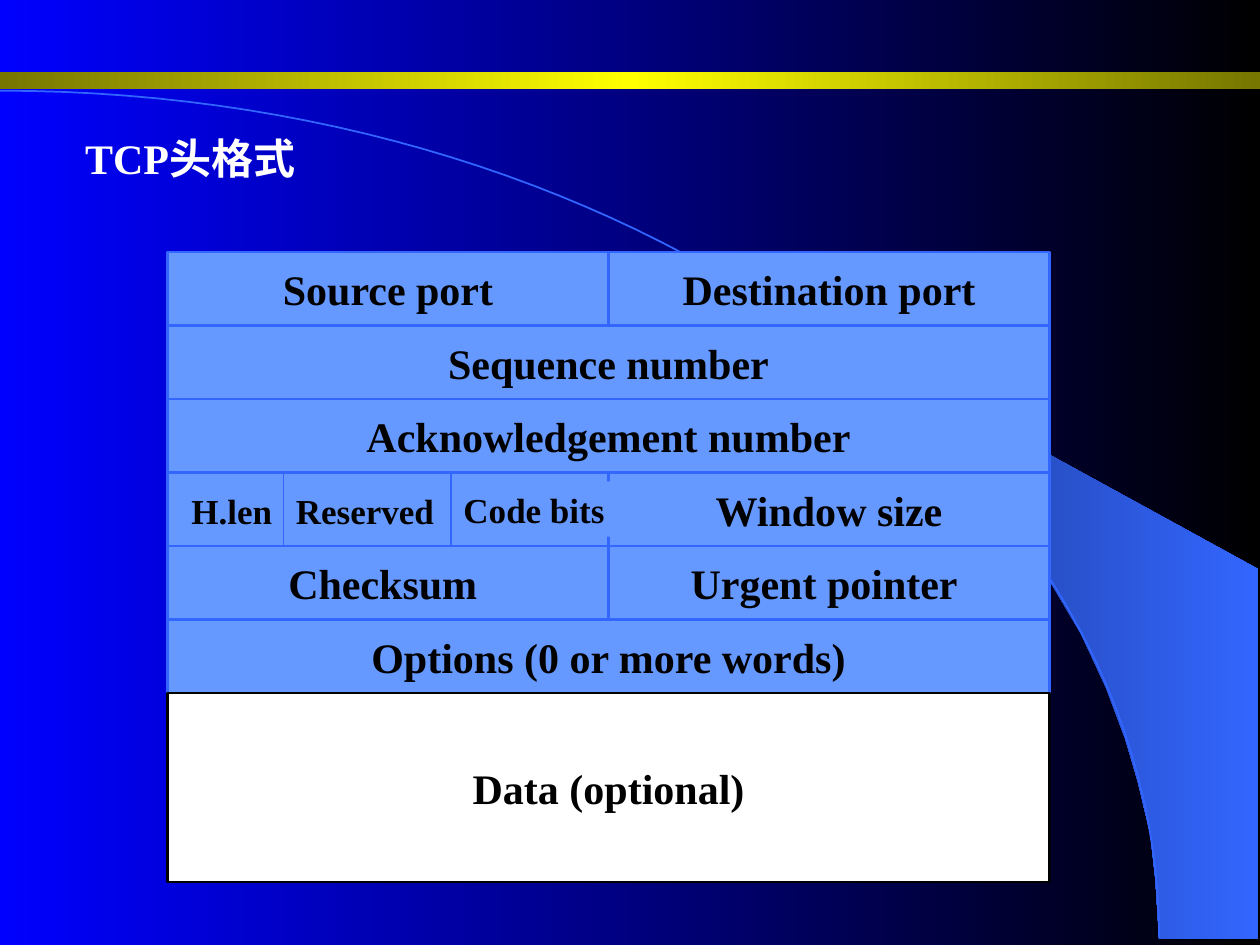
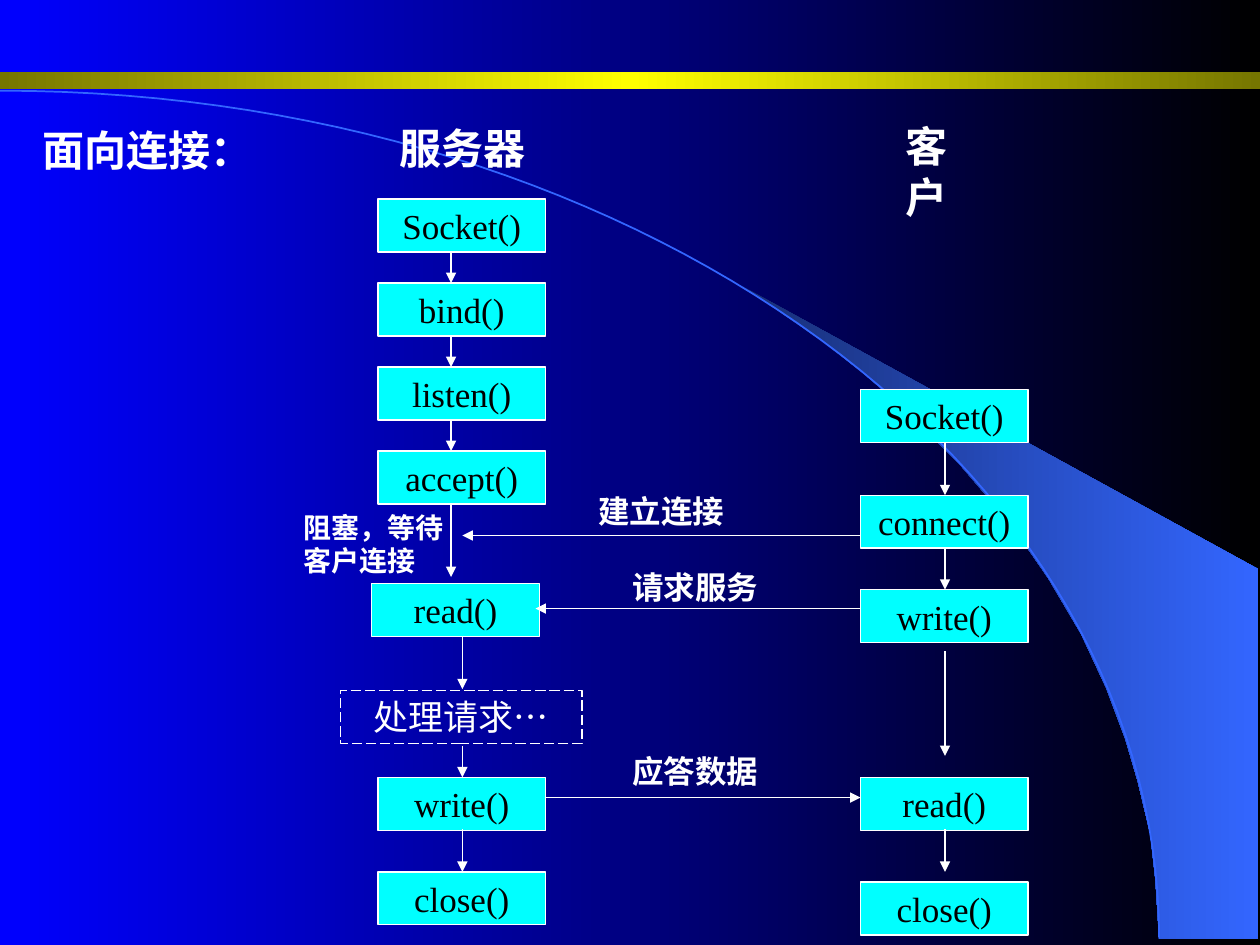
import copy
import dataclasses

import lxml.etree
import pptx
import pptx.dml.color
import pptx.enum.dml
import pptx.enum.shapes
import pptx.enum.text
import pptx.oxml.ns
import pptx.util

Inches = pptx.util.Inches
RECTANGLE = pptx.enum.shapes.MSO_SHAPE.RECTANGLE
CENTER = pptx.enum.text.PP_ALIGN.CENTER


@dataclasses.dataclass(frozen=True)
class Theme:
    font: str = "Times New Roman"
    background: tuple = ("0000FF", "000000")
    band: tuple = ("767600", "FFFF00", "767600")
    ribbon: tuple = ("182F76", "3366FF")
    edge: str = "3366FF"
    field: str = "6699FF"
    step: str = "00FFFF"
    white: str = "FFFFFF"
    black: str = "000000"
    heading_size: int = 24
    body_size: int = 20
    label_size: int = 18
    note_size: int = 16
    thin: float = 0.75
    arc: float = 1
    thick: float = 1.5


@dataclasses.dataclass(frozen=True)
class Box:
    left: float
    top: float
    width: float
    height: float

    def inside(self, left, top, width, height):
        return Box(self.left + left, self.top + top, width, height)

    def lengths(self):
        return [Inches(value) for value in dataclasses.astuple(self)]


THEME = Theme()
SLIDE = Box(0, 0, 10, 7.5)
RIBBON = [
    (9.2, 7.45), (9.99, 7.45), (9.99, 4.52), (5.89, 2.27), (6.24, 2.51), (6.53, 2.71),
    (6.85, 2.96), (7.16, 3.23), (7.62, 3.69), (8.03, 4.17), (8.32, 4.59), (8.58, 5.03),
    (8.78, 5.46), (8.93, 5.86), (9.03, 6.2), (9.13, 6.62), (9.17, 6.98),
]
ARC_CONTROLS = [(0, 0.72), (5.08, 0.72), (9.2, 3.73), (9.2, 7.45)]


def rgb(color):
    return pptx.dml.color.RGBColor.from_string(color)


def set_gradient(fill, colors):
    fill.gradient()
    fill.gradient_angle = 0
    stops = fill.gradient_stops
    if len(colors) == 3:
        last = stops[1]._gs
        last.addprevious(copy.deepcopy(last))
        stops = fill.gradient_stops
    for index, (stop, color) in enumerate(zip(stops, colors)):
        stop.position = index / (len(colors) - 1)
        stop.color.rgb = rgb(color)


def set_line(line, color, width):
    line.color.rgb = rgb(color)
    line.width = pptx.util.Pt(width)


def write_text(shape, text, size, color, bold, align=None):
    frame = shape.text_frame
    frame.text = text
    frame.word_wrap = False
    for paragraph in frame.paragraphs:
        paragraph.alignment = align
        font = paragraph.font
        font.name = THEME.font
        font.size = pptx.util.Pt(size)
        font.bold = bold
        font.color.rgb = rgb(color)


def add_label(slide, box, text, size):
    shape = slide.shapes.add_textbox(*box.lengths())
    write_text(shape, text, size, THEME.white, True)
    shape.text_frame.auto_size = pptx.enum.text.MSO_AUTO_SIZE.SHAPE_TO_FIT_TEXT


def add_rectangle(slide, box, fill=None, line=None, width=THEME.thin):
    shape = slide.shapes.add_shape(RECTANGLE, *box.lengths())
    shape.shadow.inherit = False
    if fill:
        shape.fill.solid()
        shape.fill.fore_color.rgb = rgb(fill)
    else:
        shape.fill.background()
    if line:
        set_line(shape.line, line, width)
    else:
        shape.line.fill.background()
    return shape


def add_line(slide, start, end, color, arrow=False):
    connector = slide.shapes.add_connector(
        pptx.enum.shapes.MSO_CONNECTOR.STRAIGHT,
        *[Inches(value) for value in (*start, *end)],
    )
    set_line(connector.line, color, THEME.thin)
    properties = connector.element.spPr
    qualified = pptx.oxml.ns.qn
    if arrow:
        outline = properties.find(qualified("a:ln"))
        lxml.etree.SubElement(outline, qualified("a:tailEnd"), type="triangle")
    lxml.etree.SubElement(properties, qualified("a:effectLst"))


def add_outline(slide, box, points, close):
    corners = [(Inches(box.left + x), Inches(box.top + y)) for x, y in points]
    builder = slide.shapes.build_freeform(*corners[0])
    builder.add_line_segments(corners[1:], close=close)
    shape = builder.convert_to_shape()
    shape.shadow.inherit = False
    return shape


def curve_points(controls, segments=60):
    for index in range(segments + 1):
        t = index / segments
        weights = ((1 - t) ** 3, 3 * t * (1 - t) ** 2, 3 * t * t * (1 - t), t ** 3)
        yield tuple(
            sum(weight * point[axis] for weight, point in zip(weights, controls))
            for axis in (0, 1)
        )


def add_backdrop(slide, box):
    set_gradient(slide.background.fill, THEME.background)
    ribbon = add_outline(slide, box, RIBBON, True)
    set_gradient(ribbon.fill, THEME.ribbon)
    ribbon.line.fill.background()
    arc = add_outline(slide, box, list(curve_points(ARC_CONTROLS)), False)
    arc.fill.background()
    set_line(arc.line, THEME.edge, THEME.arc)
    band = add_rectangle(slide, box.inside(0, 0.57, box.width, 0.14))
    set_gradient(band.fill, THEME.band)


def add_header_format(slide, box):
    rows = [
        ["Source port", "Destination port"],
        ["Sequence number"],
        ["Acknowledgement number"],
        ["", "Window size"],
        ["Checksum ", "Urgent pointer "],
        ["Options (0 or more words)"],
    ]
    row_height = 3.5 / len(rows)
    for row, names in enumerate(rows):
        width = box.width / len(names)
        for column, name in enumerate(names):
            cell = box.inside(column * width, row * row_height, width, row_height)
            shape = add_rectangle(slide, cell, THEME.field, THEME.edge, THEME.thick)
            if name:
                write_text(shape, name, THEME.heading_size, THEME.black, True, CENTER)
    data = add_rectangle(
        slide, box.inside(0, 3.5, box.width, box.height - 3.5),
        THEME.white, THEME.black, THEME.thick,
    )
    write_text(data, "Data (optional)", THEME.heading_size, THEME.black, True, CENTER)

    flags_top = 3 * row_height
    flags = [("H.len", 0.09, 0.08, 0.92), ("Reserved", 0.92, 0.08, 1.33),
             ("Code bits", 2.25, 0.07, 1.33)]
    for name, left, offset, width in flags:
        flag = box.inside(left, flags_top + offset, width, 0.44)
        shape = add_rectangle(slide, flag, THEME.field)
        write_text(shape, name, THEME.body_size, THEME.black, True,
                   pptx.enum.text.PP_ALIGN.LEFT)
    for name, left, offset, width in flags[1:]:
        x, y = box.left + left, box.top + flags_top
        add_line(slide, (x, y), (x, y + row_height), THEME.edge)


def add_call_column(slide, box, calls, arrows):
    for name, left, top in calls:
        shape = add_rectangle(
            slide, box.inside(left, top, box.width, 0.42), THEME.step, THEME.white
        )
        write_text(shape, name, THEME.body_size, THEME.black, False, CENTER)
    for x, start, end in arrows:
        add_line(slide, (box.left + x, box.top + start), (box.left + x, box.top + end),
                 THEME.white, True)


def add_server(slide, box):
    pitch = 2 / 3
    opening = ["Socket()", "bind()", "listen()", "accept()"]
    calls = [(name, 0, index * pitch) for index, name in enumerate(opening)]
    calls += [("read()", -0.05, 3.05), ("write()", 0, 4.59), ("close()", 0, 5.34)]
    arrows = [(0.58, index * pitch + 0.42, (index + 1) * pitch) for index in range(3)]
    arrows += [(0.58, 2.42, 3), (0.67, 3.47, 3.89), (0.67, 4.34, 4.59), (0.67, 5, 5.34)]
    add_call_column(slide, box, calls, arrows)
    work = add_rectangle(slide, box.inside(-0.3, 3.9, 1.92, 0.42), line=THEME.white)
    work.line.dash_style = pptx.enum.dml.MSO_LINE.LONG_DASH
    write_text(work, "处理请求…", THEME.body_size, THEME.white, False, CENTER)
    add_label(slide, box.inside(-0.69, 2.42, 1.31, 0.64), "阻塞，等待\n客户连接",
              THEME.note_size)


def add_client(slide, box):
    calls = [("Socket()", 0, 0), ("connect()", 0, 0.84), ("write()", 0, 1.59),
             ("read()", 0, 3.08), ("close()", 0, 3.91)]
    spans = [(0.42, 0.84), (1.25, 1.59), (2.08, 2.91), (3.49, 3.83)]
    add_call_column(slide, box, calls, [(0.67, *span) for span in spans])


def add_messages(slide, box):
    messages = [
        ("建立连接", 0.98, 0, 3.16, 0, 0.39),
        ("请求服务", 1.25, 0.6, 3.16, 0.58, 0.97),
        ("应答数据", 1.25, 2.06, 0.66, 3.16, 2.47),
    ]
    for text, left, top, start, end, y in messages:
        add_line(slide, (box.left + start, box.top + y), (box.left + end, box.top + y),
                 THEME.white, True)
        add_label(slide, box.inside(left, top, 1.2, 0.4), text, THEME.label_size)


def build_header_slide(slide, box):
    add_backdrop(slide, box)
    add_label(slide, box.inside(0.5, 1, 2.42, 0.5), " TCP头格式", THEME.heading_size)
    add_header_format(slide, box.inside(1.33, 2, 7, 5))


def build_connection_slide(slide, box):
    add_backdrop(slide, box)
    headings = [("面向连接：", 0.24, 0.94, 1.86), ("服务器", 3.07, 0.92, 1.2),
                ("客户", 7.09, 0.91, 0.86)]
    for text, left, top, width in headings:
        add_label(slide, box.inside(left, top, width, 0.5), text, THEME.heading_size)
    add_server(slide, box.inside(3, 1.58, 1.33, 5.76))
    add_client(slide, box.inside(6.83, 3.09, 1.33, 4.33))
    add_messages(slide, box.inside(3.67, 3.86, 3.16, 2.47))


def main():
    presentation = pptx.Presentation()
    presentation.slide_width = Inches(SLIDE.width)
    presentation.slide_height = Inches(SLIDE.height)
    for build_slide in (build_header_slide, build_connection_slide):
        slide = presentation.slides.add_slide(presentation.slide_layouts[6])
        build_slide(slide, SLIDE)
    presentation.save("out.pptx")


if __name__ == "__main__":
    main()
